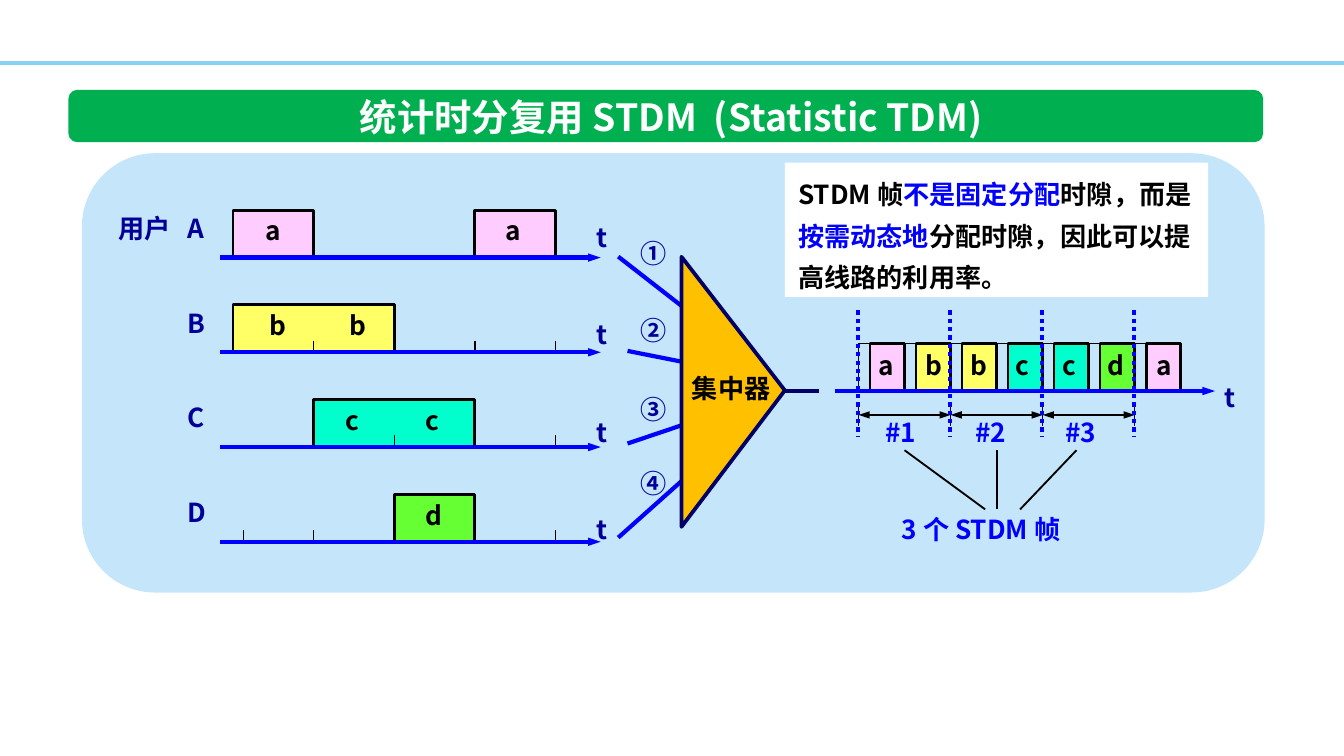
from pptx import Presentation
from pptx.dml.color import RGBColor
from pptx.enum.dml import MSO_LINE
from pptx.enum.shapes import MSO_CONNECTOR, MSO_SHAPE
from pptx.enum.text import MSO_ANCHOR, MSO_AUTO_SIZE, PP_ALIGN
from pptx.oxml.ns import qn
from pptx.util import Pt
from lxml.etree import SubElement

FONT = "Noto Sans CJK SC"
BLACK = RGBColor(0, 0, 0)
WHITE = RGBColor(255, 255, 255)
BLUE = RGBColor(0, 0, 255)
NAVY = RGBColor(0, 0, 0x99)
DARK = RGBColor(0, 0, 0x66)
SKY = RGBColor(0x85, 0xD1, 0xF7)
PALE = RGBColor(0xC5, 0xE5, 0xFB)
GREEN = RGBColor(0, 0xB0, 0x50)
AMBER = RGBColor(0xFF, 0xC0, 0)
FILLS = {
    "a": RGBColor(0xFF, 0xCC, 0xFF),
    "b": RGBColor(0xFF, 0xFF, 0x66),
    "c": RGBColor(0, 0xFF, 0xCC),
    "d": RGBColor(0x66, 0xFF, 0x33),
}
WIDTHS = {"a": 23, "b": 23.8, "c": 21.6, "d": 23.8, "t": 20.2,
          "A": 25.2, "B": 24.5, "C": 23.8, "D": 25.9}
HIGH = 25.4  # height of a time slot

# User rows: name, slots (first column, count), letters, tick columns
LEFT, SLOT, BASE, STEP = 124.8, 43.2, 138, 50.75
ROWS = [
    ("A", [(0, 1), (3, 1)], [("a", 135.4), ("a", 263.5)], []),
    ("B", [(0, 2)], [("b", 137.5), ("b", 180)], [1, 3, 4]),
    ("C", [(1, 2)], [("c", 177.8), ("c", 221)], [2, 4]),
    ("D", [(2, 1)], [("d", 221)], [0.13, 1, 4]),
]

# Output line: each cell is a short gap and then a slot
START, CELL, GAP, AXIS = 460, 24.65, 6.1, 209.5
OUT = "abbccda"
SPOTS = [463.7, 488.9, 512.6, 537.1, 562.3, 586.1, 612.7]


def shape(page, kind, x, y, w, h, fill, edge=None):
    item = page.add_shape(kind, Pt(x), Pt(y), Pt(w), Pt(h))
    item.shadow.inherit = False
    item.fill.solid()
    item.fill.fore_color.rgb = fill
    if edge:
        item.line.color.rgb = edge
        item.line.width = Pt(2)
    else:
        item.line.fill.background()
    return item


def text(page, runs, x, y, w, h=24.5, color=BLACK, size=14, wrap=False,
         align=PP_ALIGN.LEFT, anchor=MSO_ANCHOR.TOP, lead=None, box=None):
    """Write a string, or a list of (string, color), in a box."""
    if box is None:
        box = page.add_textbox(Pt(x), Pt(y), Pt(w), Pt(h))
    frame = box.text_frame
    frame.word_wrap = wrap
    frame.auto_size = MSO_AUTO_SIZE.NONE if wrap else MSO_AUTO_SIZE.SHAPE_TO_FIT_TEXT
    frame.vertical_anchor = anchor
    para = frame.paragraphs[0]
    para.alignment = align
    if lead:
        para.line_spacing = Pt(lead)
    if isinstance(runs, str):
        runs = [(runs, color)]
    for words, tint in runs:
        run = para.add_run()
        run.text = words
        font = run.font
        font.name, font.size, font.bold = FONT, Pt(size), True
        font.color.rgb = tint
        SubElement(font._element, qn("a:ea")).set("typeface", FONT)


def line(page, x1, y1, x2, y2, color=BLACK, width=0.75, ends=(), dash=None):
    item = page.add_connector(MSO_CONNECTOR.STRAIGHT, Pt(x1), Pt(y1), Pt(x2), Pt(y2))
    item.line.color.rgb = color
    item.line.width = Pt(width)
    if dash:
        item.line.dash_style = dash
    for end in ends:
        tip = SubElement(item.line._get_or_add_ln(), qn("a:" + end))
        for key, value in (("type", "triangle"), ("w", "sm"), ("len", "med")):
            tip.set(key, value)
    SubElement(item._element.spPr, qn("a:effectLst"))


def slot(page, x, base, w, fill=None):
    """Draw a slot that is open along its base line."""
    path = page.build_freeform(Pt(x), Pt(base))
    path.add_line_segments(
        [(Pt(x), Pt(base - HIGH)), (Pt(x + w), Pt(base - HIGH)), (Pt(x + w), Pt(base))],
        close=False)
    item = path.convert_to_shape()
    item.shadow.inherit = False
    item.line.color.rgb = BLACK
    item.line.width = Pt(1.5 if fill else 0.75)
    if fill:
        item.fill.solid()
        item.fill.fore_color.rgb = fill
    else:
        item.fill.background()


def users(page):
    text(page, "用户", 56.2, 110.2, 42.5, color=NAVY)
    for i, (name, slots, marks, ticks) in enumerate(ROWS):
        base = BASE + i * STEP
        for col, count in slots:
            slot(page, LEFT + col * SLOT, base, count * SLOT, FILLS[name.lower()])
        for col in ticks:
            x = LEFT + col * SLOT
            line(page, x, base - 6.2, x, base)
        line(page, 118, base, 321.8, base, BLUE, 2.25, ["tailEnd"])
        text(page, name, 93.6, base - 27.8, WIDTHS[name], color=NAVY)
        for mark, x in marks:
            text(page, mark, x, base - 26.5, WIDTHS[mark])
        text(page, "t", 312.5, 115.2 + i * 52.1, WIDTHS["t"], color=NAVY)


def mixer(page):
    # Input lines run in under the triangle
    feeds = [("①", 123.8, 331.2, 137.5, 402.5, 193), ("②", 164.9, 336.2, 188, 404.6, 201.6),
             ("③", 207.4, 336.2, 237.6, 404.6, 214.6), ("④", 247, 331.2, 288, 404.6, 222.5)]
    for mark, top, *ends in feeds:
        line(page, *ends, BLUE, 2.25, ["tailEnd"])
        text(page, mark, 336.2, top, 28.8, color=NAVY)
    cone = shape(page, MSO_SHAPE.ISOSCELES_TRIANGLE, 320.4, 182.2, 144.7, 55.4, AMBER, DARK)
    cone.adjustments[0] = 0.495
    cone.rotation = 90
    text(page, "集中器", 363.6, 195.8, 56.9)
    line(page, 420.5, AXIS, 438.5, AXIS, DARK, 2.25)


def output(page):
    # Slots and gaps
    for i, mark in enumerate(OUT):
        x = START + i * CELL
        slot(page, x + GAP, AXIS, CELL - GAP, FILLS[mark])
        slot(page, x, AXIS, GAP)
    line(page, 447.1, AXIS, 650.9, AXIS, BLUE, 2.25, ["tailEnd"])
    text(page, "t", 648.7, 200.9, WIDTHS["t"], color=NAVY)
    # Frames
    for i in range(4):
        x = START + i * 2 * CELL
        line(page, x, 216, x, 228.2)
        line(page, x - 0.5, 166.3, x - 0.5, 234, BLUE, 2.25, dash=MSO_LINE.ROUND_DOT)
        if i < 3:
            line(page, x, 222.3, x + 2 * CELL, 222.3, ends=["headEnd", "tailEnd"])
            text(page, f"#{i + 1}", 467.3 + i * 48.2, 219.6, 32.4, color=BLUE)
    for mark, x in zip(OUT, SPOTS):
        text(page, mark, x, 183.6, WIDTHS[mark])
    # Caption with its pointers
    for x1, x2 in ((484.6, 527.8), (534.2, 534.2), (576.7, 546.5)):
        line(page, x1, 241.2, x2, 272.9, width=1)
    text(page, "3 个 STDM 帧", 475.9, 271.4, 107.3, 42, color=BLUE, wrap=True)


def main():
    deck = Presentation()
    deck.slide_width, deck.slide_height = Pt(720), Pt(405)
    page = deck.slides.add_slide(deck.slide_layouts[6]).shapes

    # Header and panel
    line(page, 0, 33.8, 720, 33.8, SKY, 2)
    shape(page, MSO_SHAPE.ROUNDED_RECTANGLE, 36.7, 48.2, 640, 28, GREEN)
    text(page, "统计时分复用 STDM  (Statistic TDM)", 98.6, 48.2, 522, 28, color=WHITE,
         size=20, wrap=True, align=PP_ALIGN.CENTER, anchor=MSO_ANCHOR.MIDDLE)
    shape(page, MSO_SHAPE.ROUNDED_RECTANGLE, 43.9, 82.1, 633.6, 235.4, PALE)

    users(page)
    output(page)
    mixer(page)

    # Note
    note = shape(page, MSO_SHAPE.RECTANGLE, 420.5, 87.1, 226.8, 72, WHITE)
    text(page, [("STDM 帧", BLACK), ("不是固定分配", BLUE), ("时隙，而是", BLACK),
                ("按需动态地", BLUE), ("分配时隙，因此可以提高线路的利用率。", BLACK)],
         0, 0, 0, wrap=True, lead=22, box=note)

    deck.save("out.pptx")


if __name__ == "__main__":
    main()
